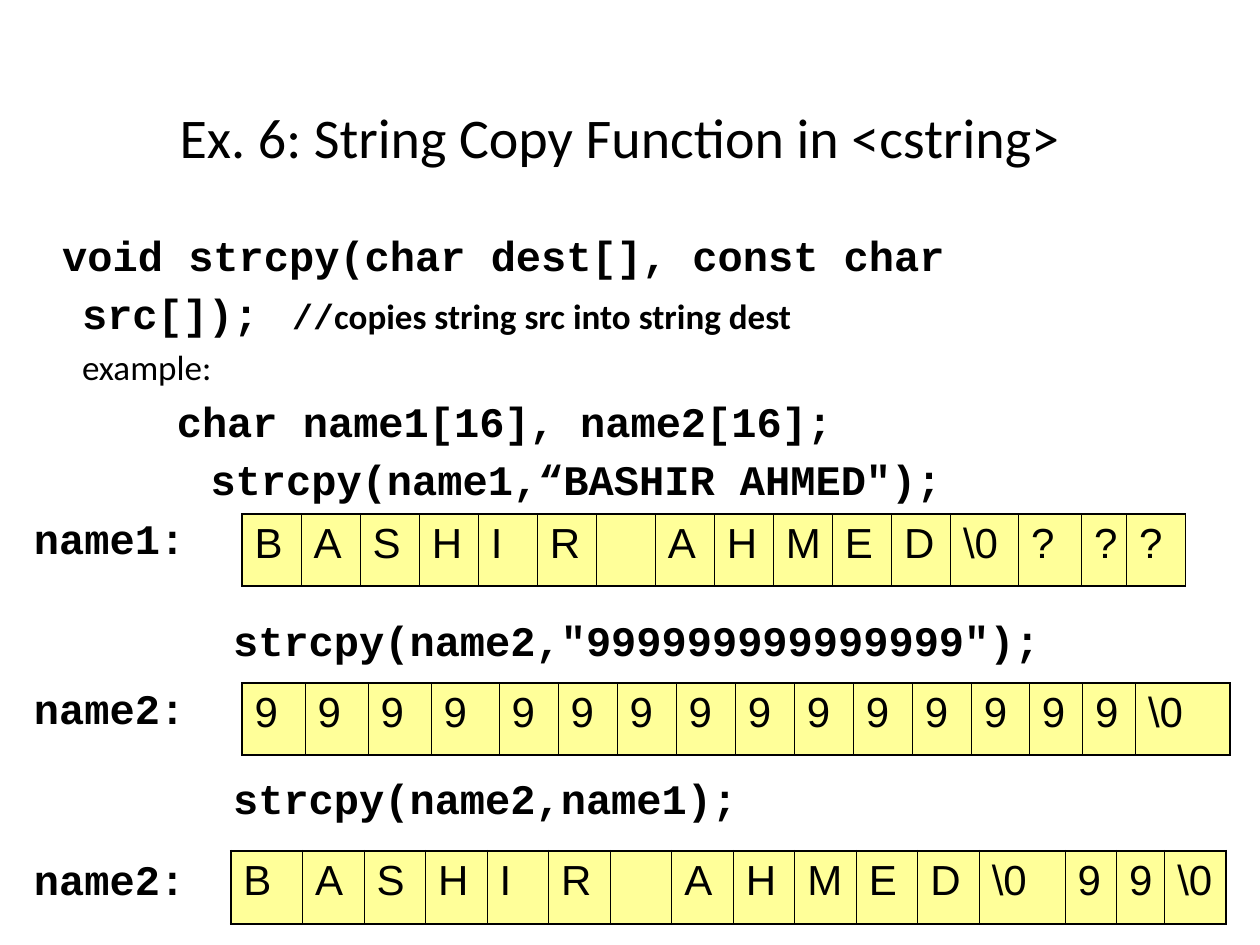
from lxml import etree
from pptx import Presentation
from pptx import util as u
from pptx.dml.color import RGBColor
from pptx.enum import text
from pptx.oxml.ns import qn

Cm, Pt = u.Cm, u.Pt
COLORS = {"ink": "000000", "cell": "FFFF99"}
CODE, PROSE, CELL = "Courier New", "Calibri", "Arial"
HANGING = 0.97


def add_run(paragraph, words, font, size, bold=False):
    run = paragraph.add_run()
    run.text = words
    run.font.name, run.font.size, run.font.bold = font, Pt(size), bold
    run.font.color.rgb = RGBColor.from_string(COLORS["ink"])


def place(shape, box):
    shape.left, shape.top, shape.width, shape.height = map(Cm, box)


def fill_title(title, box):
    place(title, box)
    frame = title.text_frame
    frame.auto_size = text.MSO_AUTO_SIZE.NONE
    frame.vertical_anchor = text.MSO_ANCHOR.MIDDLE
    heading = frame.paragraphs[0]
    heading.alignment = text.PP_ALIGN.CENTER
    add_run(heading, "Ex. 6: String Copy Function in <cstring>", PROSE, 32)


def fill_listing(body, box, lines):
    """Each line is (first-line indent in cm, space before in pt, runs)."""
    place(body, box)
    frame = body.text_frame
    frame.auto_size = text.MSO_AUTO_SIZE.NONE
    frame.margin_top = Cm(0.3)
    for number, (indent, before, runs) in enumerate(lines):
        line = frame.add_paragraph() if number else frame.paragraphs[0]
        properties = line._p.get_or_add_pPr()
        properties.set("marL", str(Cm(HANGING)))
        properties.set("indent", str(Cm(indent)))
        etree.SubElement(properties, qn("a:buNone"))
        line.line_spacing = 0.9
        line.space_before = Pt(before)
        for run in runs:
            add_run(line, *run)


def add_call(slide, box, code):
    call = slide.shapes.add_textbox(*map(Cm, box))
    call.text_frame.word_wrap = True
    add_run(call.text_frame.paragraphs[0], code, CODE, 24, True)


def set_border(cell, side, width):
    border = etree.SubElement(cell._tc.get_or_add_tcPr(), qn(f"a:ln{side}"), w=str(Pt(width)))
    fill = etree.SubElement(border, qn("a:solidFill"))
    etree.SubElement(fill, qn("a:srgbClr"), val=COLORS["ink"])


def add_array(slide, left, top, height, widths, characters):
    """Draw a char array as a one-row table, one cell per character."""
    last = len(characters) - 1
    array = slide.shapes.add_table(
        1, len(characters), Cm(left), Cm(top), Cm(sum(widths)), Cm(height)).table
    array.first_row = array.horz_banding = False
    array.rows[0].height = Cm(height)
    for index, (width, character) in enumerate(zip(widths, characters)):
        array.columns[index].width = Cm(width)
        cell = array.cell(0, index)
        set_border(cell, "L", 0.45 if index else 1.08)
        set_border(cell, "R", 0.45 if index < last else 1.08)
        for side in "TB":
            set_border(cell, side, 1.08)
        cell.fill.solid()
        cell.fill.fore_color.rgb = RGBColor.from_string(COLORS["cell"])
        if character:
            add_run(cell.text_frame.paragraphs[0], character, CELL, 24)


def main():
    prs = Presentation()
    prs.slide_width, prs.slide_height = Cm(25.4), Cm(19.05)
    slide = prs.slides.add_slide(prs.slide_layouts[1])

    fill_title(slide.shapes.title, (1.07, 1.9, 22.86, 1.7))
    fill_listing(slide.placeholders[1], (0.43, 4.45, 24.33, 13.97), [
        (-0.4, 0, [("void strcpy(char dest[], const char src[]);", CODE, 24, True),
                   (" ", CODE, 32, True),
                   ("//", CODE, 20, True),
                   ("copies string src into string dest", PROSE, 20, True)]),
        (0, 5, [("example:", PROSE, 20)]),
        (1.91, 7.5, [("char name1[16], name2[16];", CODE, 24, True)]),
        (2.59, 7.5, [("strcpy(name1,“BASHIR AHMED\");", CODE, 24, True)]),
        (-HANGING, 7.5, [("name1:", CODE, 24, True)]),
        *[(-HANGING, 71.5, [("name2:", CODE, 24, True)])] * 2,
    ])
    add_call(slide, (4.45, 12.27, 17.58, 1.27), 'strcpy(name2,"999999999999999");')
    add_call(slide, (4.45, 15.44, 10.67, 1.27), "strcpy(name2,name1);")

    full_name = [*"BASHIR", "", *"AHMED", "\\0"]
    add_array(slide, 4.88, 10.36, 1.45,
              [1.19] * 12 + [1.37, 1.27, 0.91, 1.19], full_name + ["?"] * 3)
    add_array(slide, 4.65, 17.15, 1.47,
              [1.45] + [1.24] * 11 + [1.73, 1.04, 0.97, 1.24], full_name + ["9", "9", "\\0"])
    add_array(slide, 4.88, 13.77, 1.45,
              [1.27] * 3 + [1.37] + [1.19] * 8 + [1.17, 1.07, 1.07, 1.9], ["9"] * 15 + ["\\0"])
    prs.save("out.pptx")


if __name__ == "__main__":
    main()
